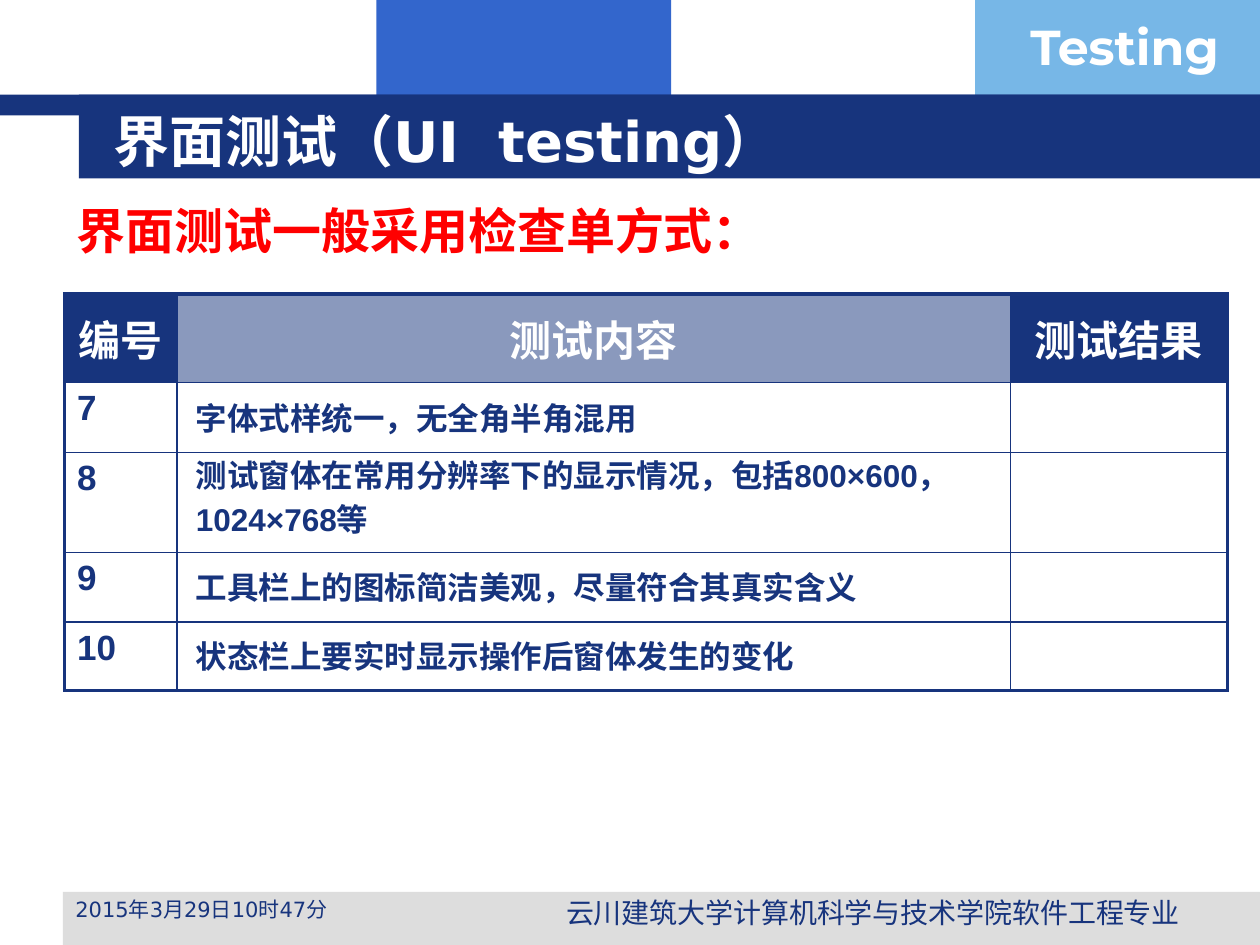
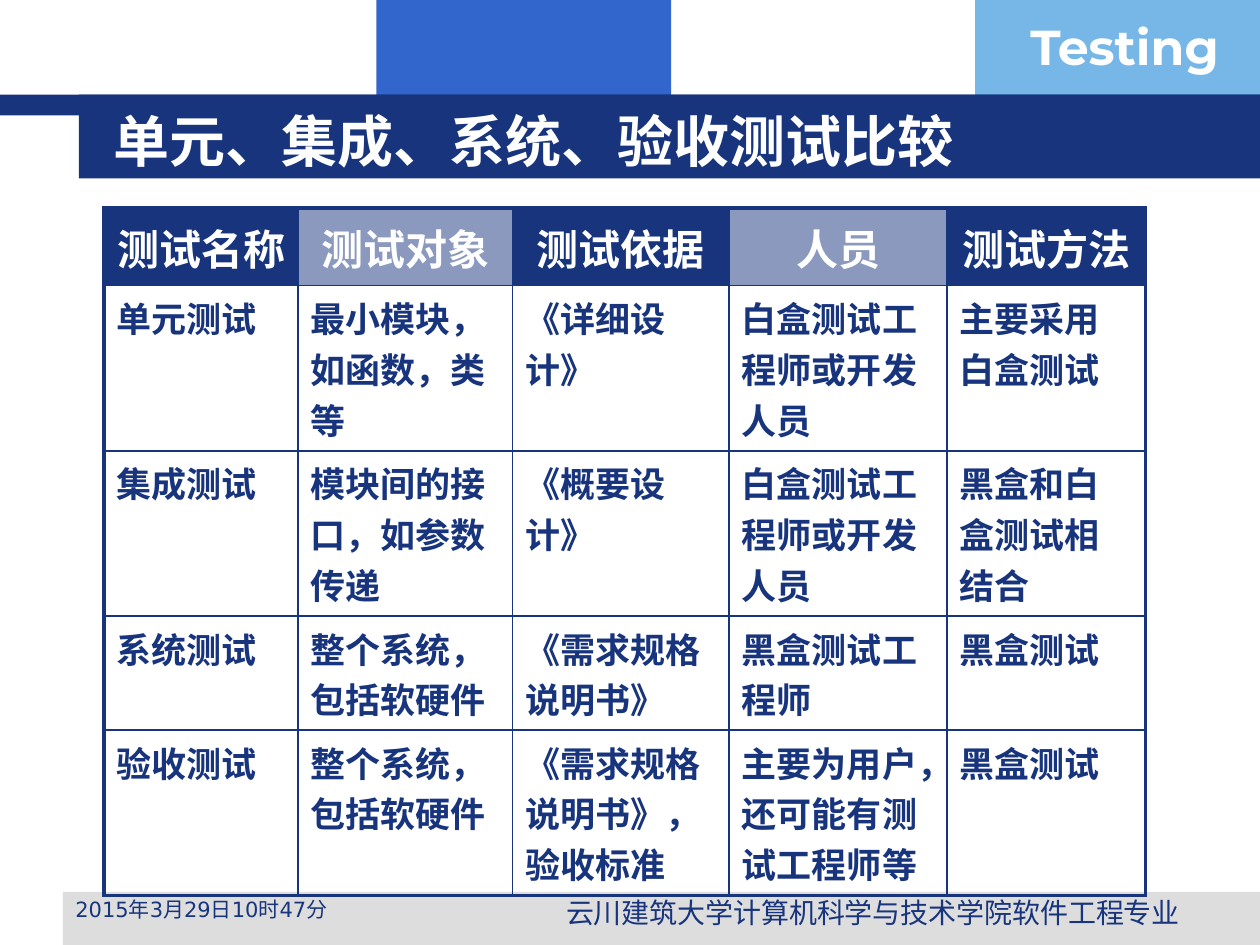
from dataclasses import dataclass

from lxml.etree import SubElement
from pptx import Presentation
from pptx.dml.color import RGBColor
from pptx.enum.lang import MSO_LANGUAGE_ID as Lang
from pptx.enum.shapes import MSO_SHAPE as Shape
from pptx.enum.text import MSO_ANCHOR as Anchor, PP_ALIGN as Align
from pptx.oxml import parse_xml
from pptx.oxml.ns import nsdecls, qn
from pptx.util import Cm, Pt


@dataclass(frozen=True)
class Theme:
    navy: str = "17347D"
    blue: str = "3366CC"
    sky: str = "77B7E7"
    grey: str = "DDDDDD"
    white: str = "FFFFFF"
    red: str = "FF0000"
    body_font: str = "Arial"
    title_font: str = "DejaVu Sans"
    badge_font: str = "Montserrat"
    title_size: int = 32
    lead_size: int = 28
    header_size: int = 24
    cell_size: int = 20
    item_size: int = 18
    school_size: int = 16
    date_size: int = 12
    outer_line: float = 2.25
    inner_line: float = 1


THEME = Theme()

BANDS = [  # left, top, width, height in cm, colour
    (7.59, 0, 5.94, 2.34, THEME.blue),
    (19.66, 0, 5.74, 2.34, THEME.sky),
    (1.27, 17.98, 24.13, 1.07, THEME.grey),
    (0, 1.91, 25.4, 0.42, THEME.navy),
    (1.59, 1.91, 23.81, 1.69, THEME.navy),
]

CHECKLIST = [
    ["编号", "测试内容", "测试结果"],
    ["7", "", ""],
    ["8", "", ""],
    ["9", "", ""],
    ["10", "", ""],
]

CHECK_ITEMS = [  # top, width, height in cm, lines
    (7.94, 15.8, 0.99, ["字体式样统一，无全角半角混用"]),
    (9.32, 16.8, 1.4, ["测试窗体在常用分辨率下的显示情况，包括800×600，", "1024×768等"]),
    (11.33, 15.8, 0.99, ["工具栏上的图标简洁美观，尽量符合其真实含义"]),
    (12.73, 15.8, 0.99, ["状态栏上要实时显示操作后窗体发生的变化"]),
]

COMPARISON = [
    ["测试名称", "测试对象", "测试依据", "人员", "测试方法"],
    ["单元测试", "最小模块，如函数，类等", "《详细设计》",
     "白盒测试工程师或开发人员", "主要采用白盒测试"],
    ["集成测试", "模块间的接口，如参数传递", "《概要设计》",
     "白盒测试工程师或开发人员", "黑盒和白盒测试相结合"],
    ["系统测试", "整个系统，包括软硬件", "《需求规格说明书》",
     "黑盒测试工程师", "黑盒测试"],
    ["验收测试", "整个系统，包括软硬件", "《需求规格说明书》，验收标准",
     "主要为用户，还可能有测试工程师等", "黑盒测试"],
]


def add_span(para, text, size, color=THEME.navy, font=THEME.body_font, bold=True):
    span = para.add_run()
    span.text = text
    span.font.name = font
    span.font.size = Pt(size)
    span.font.bold = bold
    span.font.color.rgb = RGBColor.from_string(color)
    span.font.language_id = Lang.SIMPLIFIED_CHINESE
    return span


def add_band(page, left, top, width, height, color):
    band = page.shapes.add_shape(
        Shape.RECTANGLE, Cm(left), Cm(top), Cm(width), Cm(height))
    band.shadow.inherit = False
    band.fill.solid()
    band.fill.fore_color.rgb = RGBColor.from_string(color)
    band.line.fill.background()


def add_text(page, place, lines, size, anchor=Anchor.TOP, wrap=True,
             align=Align.LEFT, spacing=None, **look):
    """Add a text box with one paragraph for each line."""
    box = page.shapes.add_textbox(*map(Cm, place))
    frame = box.text_frame
    frame.word_wrap = wrap
    frame.vertical_anchor = anchor
    for index, line in enumerate(lines):
        para = frame.paragraphs[0]
        if index:
            para = frame.add_paragraph()
            para.space_before = Pt(0.2 * size)
        para.alignment = align
        para.line_spacing = spacing
        add_span(para, line, size, **look)
    return box


def add_title(page, first, second=None):
    """Add the white title; a second part follows after a wide space."""
    look = dict(color=THEME.white, font=THEME.title_font)
    box = add_text(page, (2.03, 2.03, 21.67, 1.57), [first],
                   THEME.title_size, Anchor.MIDDLE, **look)
    if second:
        para = box.text_frame.paragraphs[0]
        gap = add_span(para, " ", THEME.title_size, **look)
        gap.font._element.set("spc", "1100")
        add_span(para, second, THEME.title_size, **look)


def add_page(deck, *title):
    """Add a blank slide with bands, badge, footer and title."""
    page = deck.slides.add_slide(deck.slide_layouts[6])
    for band in BANDS:
        add_band(page, *band)
    add_text(page, (20.52, 0.2, 4.9, 1.45), ["Testing"], THEME.lead_size,
             color=THEME.white, font=THEME.badge_font)
    add_text(page, (1.27, 17.95, 7.62, 0.89), ["2015年3月29日10时47分"],
             THEME.date_size, font=THEME.title_font, bold=False)
    add_text(page, (10.3, 17.93, 14.61, 0.79),
             ["云川建筑大学计算机科学与技术学院软件工程专业"],
             THEME.school_size, align=Align.CENTER, bold=False)
    add_title(page, *title)
    return page


def set_borders(cell, widths):
    """Draw the left, right, top and bottom borders, widths in points."""
    props = cell._tc.get_or_add_tcPr()
    for index, (side, width) in enumerate(zip("LRTB", widths)):
        props.insert(index, parse_xml(
            f'<a:ln{side} {nsdecls("a")} w="{Pt(width)}"><a:solidFill>'
            f'<a:srgbClr val="{THEME.navy}"/></a:solidFill></a:ln{side}>'))


def fill_cell(cell, is_header, is_pale):
    if not is_header:
        cell.fill.background()
        return
    cell.fill.solid()
    cell.fill.fore_color.rgb = RGBColor.from_string(THEME.navy)
    if is_pale:
        color = cell._tc.tcPr.find(".//" + qn("a:srgbClr"))
        SubElement(color, qn("a:alpha"), val="50000")


def add_grid(page, left, top, widths, heights, rows):
    """Add a table with alternating header fills and a heavy outer frame."""
    table = page.shapes.add_table(
        len(rows), len(widths), Cm(left), Cm(top),
        Cm(sum(widths)), Cm(sum(heights))).table
    table.first_row = table.horz_banding = False
    for column, width in zip(table.columns, widths):
        column.width = Cm(width)
    for row, height in zip(table.rows, heights):
        row.height = Cm(height)

    last_row, last_column = len(rows) - 1, len(widths) - 1
    for r, texts in enumerate(rows):
        is_header = r == 0
        for c, text in enumerate(texts):
            cell = table.cell(r, c)
            fill_cell(cell, is_header, is_pale=c % 2 == 1)
            on_frame = (c == 0, c == last_column, r == 0, r == last_row)
            set_borders(cell, [THEME.outer_line if outer else THEME.inner_line
                               for outer in on_frame])
            if not text:
                continue
            para = cell.text_frame.paragraphs[0]
            if is_header:
                cell.vertical_anchor = Anchor.MIDDLE
                para.alignment = Align.CENTER
                add_span(para, text, THEME.header_size, THEME.white)
            else:
                add_span(para, text, THEME.cell_size)


def build_checklist(deck):
    page = add_page(deck, "界面测试（UI", "testing）")
    add_grid(page, 1.3, 5.93, [2.27, 16.8, 4.37],
             [1.78, 1.41, 2.02, 1.4, 1.38], CHECKLIST)
    add_text(page, (1.3, 4.14, 19.23, 1.19), ["界面测试一般采用检查单方式："],
             THEME.lead_size, spacing=0.8, color=THEME.red)
    for top, width, height, lines in CHECK_ITEMS:
        add_text(page, (3.7, top, width, height), lines, THEME.item_size,
                 Anchor.MIDDLE, wrap=False)


def build_comparison(deck):
    page = add_page(deck, "单元、集成、系统、验收测试比较")
    add_grid(page, 2.1, 4.19, [3.91, 4.32, 4.37, 4.39, 4],
             [1.57, 3.33, 3.33, 2.3, 3.33], COMPARISON)


def main():
    deck = Presentation()
    deck.slide_width, deck.slide_height = Cm(25.4), Cm(19.05)
    build_checklist(deck)
    build_comparison(deck)
    deck.save("out.pptx")


if __name__ == "__main__":
    main()
